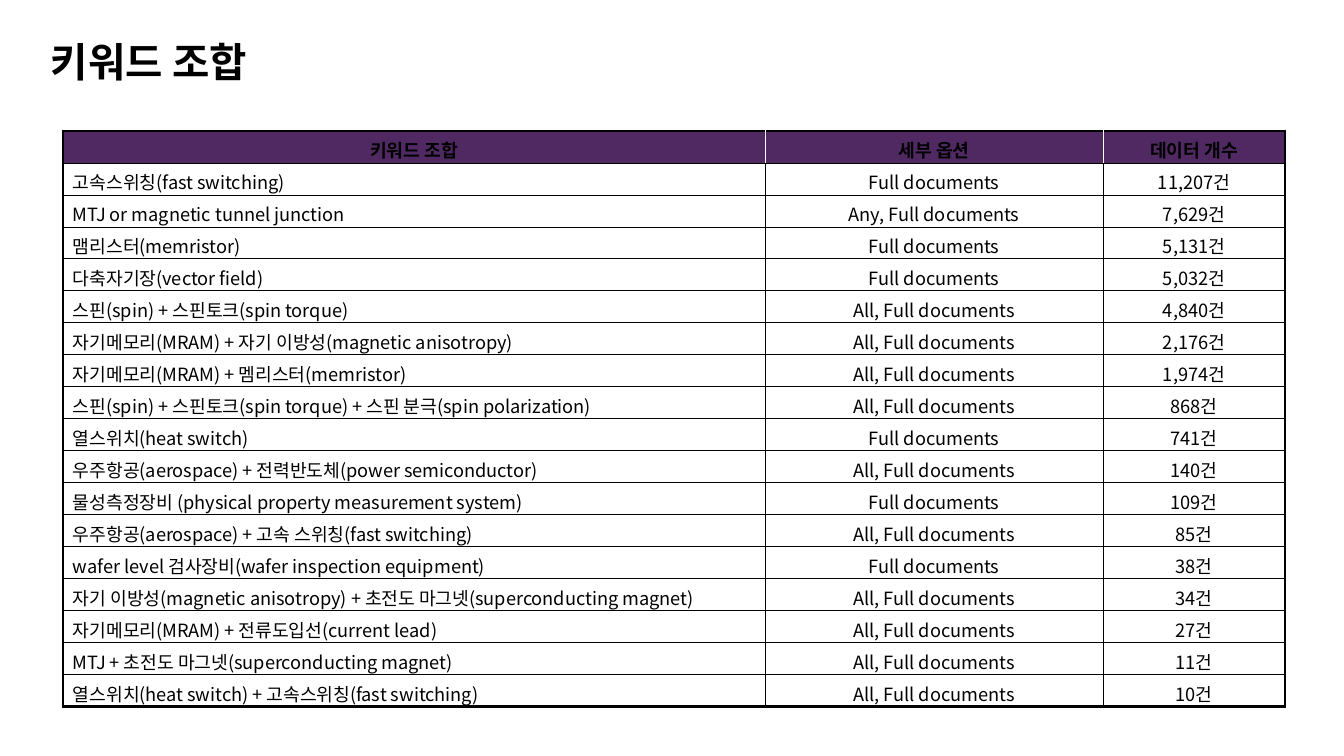
from dataclasses import dataclass

from lxml import etree
from pptx import Presentation, util as u
from pptx.dml.color import RGBColor
from pptx.enum import text
from pptx.oxml import ns

HEADINGS = ("키워드 조합", "세부 옵션", "데이터 개수")
FULL, ALL, ANY = "Full documents", "All, Full documents", "Any, Full documents"
THICK_EDGED = "열스위치(heat switch)"
SEARCHES = (
    ("고속스위칭(fast switching)", FULL, 11207),
    ("MTJ or magnetic tunnel junction", ANY, 7629),
    ("맴리스터(memristor)", FULL, 5131),
    ("다축자기장(vector field)", FULL, 5032),
    ("스핀(spin) + 스핀토크(spin torque)", ALL, 4840),
    ("자기메모리(MRAM) + 자기 이방성(magnetic anisotropy)", ALL, 2176),
    ("자기메모리(MRAM) + 멤리스터(memristor)", ALL, 1974),
    ("스핀(spin) + 스핀토크(spin torque) + 스핀 분극(spin polarization)", ALL, 868),
    (THICK_EDGED, FULL, 741),
    ("우주항공(aerospace) + 전력반도체(power semiconductor)", ALL, 140),
    ("물성측정장비 (physical property measurement system)", FULL, 109),
    ("우주항공(aerospace) + 고속 스위칭(fast switching)", ALL, 85),
    ("wafer level 검사장비(wafer inspection equipment)", FULL, 38),
    ("자기 이방성(magnetic anisotropy) + 초전도 마그넷(superconducting magnet)", ALL, 34),
    ("자기메모리(MRAM) + 전류도입선(current lead)", ALL, 27),
    ("MTJ + 초전도 마그넷(superconducting magnet)", ALL, 11),
    ("열스위치(heat switch) + 고속스위칭(fast switching)", ALL, 10),
)


@dataclass(frozen=True)
class Theme:
    font: str = "Noto Sans CJK KR"
    ink: str = "000000"
    header: str = "502962"
    divider: str = "FFFFFF"
    title_size: int = 29
    table_size: int = 13
    outer: float = 2.25
    medium: float = 1
    thin: float = 0.75


def px(count):
    return u.Emu(round(count * 914400 / 100.8))


def assign(target, formats):
    for name, value in formats.items():
        setattr(target, name, value)


class PageBuilder:
    def __init__(self, page, theme):
        self.page, self.theme = page, theme

    def add_words(self, para, words, size, bold=False, align=text.PP_ALIGN.LEFT):
        para.alignment = align
        span = para.add_run()
        span.text = words
        assign(span.font, {"name": self.theme.font, "size": u.Pt(size), "bold": bold})
        span.font.color.rgb = RGBColor.from_string(self.theme.ink)
        properties = span._r.get_or_add_rPr()
        etree.SubElement(properties, ns.qn("a:ea"), typeface=self.theme.font)

    def title(self, words, left, top, width, height):
        box = self.page.shapes.add_textbox(px(left), px(top), px(width), px(height))
        frame = box.text_frame
        assign(frame, {
            "word_wrap": True, "margin_left": px(10), "margin_right": px(10),
            "margin_top": 0, "margin_bottom": 0,
            "vertical_anchor": text.MSO_ANCHOR.MIDDLE,
            "auto_size": text.MSO_AUTO_SIZE.SHAPE_TO_FIT_TEXT,
        })
        self.add_words(frame.paragraphs[0], words, self.theme.title_size, bold=True)

    def borders(self, cell, edges):
        """Draw the (colour, points) edges, keyed L, R, T, B in schema order."""
        properties = cell._tc.get_or_add_tcPr()
        for place, (side, (colour, points)) in enumerate(edges.items()):
            line = etree.Element(ns.qn(f"a:ln{side}"), w=str(int(u.Pt(points))))
            fill = etree.SubElement(line, ns.qn("a:solidFill"))
            etree.SubElement(fill, ns.qn("a:srgbClr"), val=colour)
            properties.insert(place, line)

    def table(self, rows, left, top, widths, row_height):
        """Build a framed table whose first row is the heading."""
        theme = self.theme
        grid = self.page.shapes.add_table(
            len(rows), len(widths), px(left), px(top),
            px(sum(widths)), px(row_height * len(rows))).table
        assign(grid, {"first_row": False, "horz_banding": False})
        for column, width in zip(grid.columns, widths):
            column.width = px(width)
        for line in grid.rows:
            line.height = px(row_height)

        outer, thin = (theme.ink, theme.outer), (theme.ink, theme.thin)
        across = [outer] + [thin] * (len(rows) - 1) + [outer]
        marked = [row[0] for row in rows].index(THICK_EDGED)
        across[marked:marked + 2] = [(theme.ink, theme.medium)] * 2

        for r, row in enumerate(rows):
            inner = thin if r else (theme.divider, theme.thin)
            down = [outer] + [inner] * (len(widths) - 1) + [outer]
            for c, words in enumerate(row):
                cell = grid.cell(r, c)
                assign(cell, {
                    "margin_left": px(10), "margin_right": px(10),
                    "margin_top": px(5), "margin_bottom": 0,
                    "vertical_anchor": text.MSO_ANCHOR.MIDDLE,
                })
                if r:
                    cell.fill.background()
                else:
                    cell.fill.solid()
                    cell.fill.fore_color.rgb = RGBColor.from_string(theme.header)
                self.borders(cell, {"L": down[c], "R": down[c + 1],
                                    "T": across[r], "B": across[r + 1]})
                left_aligned = r and c == 0
                align = text.PP_ALIGN.LEFT if left_aligned else text.PP_ALIGN.CENTER
                self.add_words(cell.text_frame.paragraphs[0], words,
                               theme.table_size, bold=r == 0, align=align)


def main():
    deck = Presentation()
    assign(deck, {"slide_width": px(1344), "slide_height": px(756)})
    page = deck.slides.add_slide(deck.slide_layouts[6])
    builder = PageBuilder(page, Theme())
    builder.title("키워드 조합", 41, 32, 374, 58)
    rows = [HEADINGS] + [(keys, option, f"{count:,}건") for keys, option, count in SEARCHES]
    builder.table(rows, left=63, top=131, widths=(702, 338, 182), row_height=32)
    deck.save("out.pptx")


if __name__ == "__main__":
    main()
